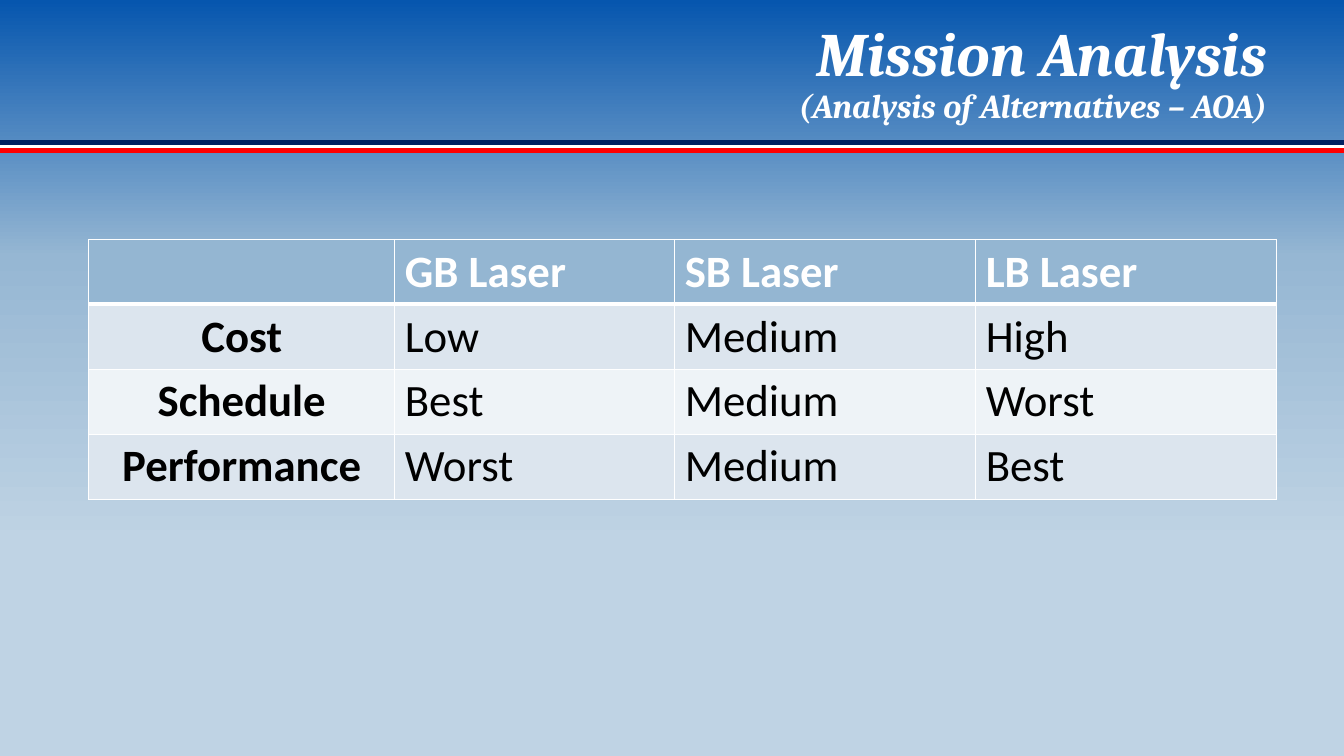
from dataclasses import dataclass

from lxml.etree import SubElement
from pptx import Presentation
from pptx.dml.color import RGBColor as Rgb
from pptx.enum.shapes import MSO_CONNECTOR as Link
from pptx.enum.text import MSO_ANCHOR as Anchor, PP_ALIGN as Align
from pptx.oxml.ns import qn
from pptx.util import Pt


@dataclass(frozen=True)
class Theme:
    white: str = "FFFFFF"
    black: str = "000000"
    navy: str = "002060"
    red: str = "FF0000"
    head: str = "94B6D2"
    bands: tuple = ("DCE5EE", "EEF3F7")
    sky: tuple = ((0, "0656AE"), (34, "96B7D3"), (72, "BFD3E4"))
    serif: str = "Cambria"
    sans: str = "Calibri"
    title: float = 44
    sub: float = 24
    body: float = 32


@dataclass(frozen=True)
class Stripe:
    top: float
    color: str
    width: float


@dataclass(frozen=True)
class Line:
    text: str
    size: float


THEME = Theme()
WIDE, HIGH = 960, 540
STRIPES = (
    Stripe(102.1, THEME.navy, 3.5),
    Stripe(104.9, THEME.white, 2.5),
    Stripe(107.5, THEME.red, 3.5),
)
TITLE = (
    Line("Mission Analysis", THEME.title),
    Line("(Analysis of Alternatives – AOA)", THEME.sub),
)
COLS = (218.6, 200, 215, 215)
ROW = 46.4
ROWS = (
    ("", "GB Laser", "SB Laser", "LB Laser"),
    ("Cost", "Low", "Medium", "High"),
    ("Schedule", "Best", "Medium", "Worst"),
    ("Performance", "Worst", "Medium", "Best"),
)


def style(font, color: str, **values) -> None:
    for name, value in values.items():
        setattr(font, name, value)
    font.color.rgb = Rgb.from_string(color)


def add_stops(parent, stops: tuple) -> None:
    for place, color in stops:
        stop = SubElement(parent, qn("a:gs"), pos=str(place * 1000))
        SubElement(stop, qn("a:srgbClr"), val=color)


def paint_sky(slide) -> None:
    """Fill the background with the gradient, from top to bottom."""
    fill = slide.background.fill
    fill.gradient()
    fill.gradient_angle = 270
    stops = slide.background._cSld.find(".//" + qn("a:gsLst"))
    for stop in list(stops):
        stops.remove(stop)
    add_stops(stops, THEME.sky)


def draw_stripe(slide, stripe: Stripe) -> None:
    line = slide.shapes.add_connector(
        Link.STRAIGHT, 0, Pt(stripe.top), Pt(WIDE), Pt(stripe.top))
    line.line.color.rgb = Rgb.from_string(stripe.color)
    line.line.width = Pt(stripe.width)
    SubElement(line._element.spPr, qn("a:effectLst"))


def draw_title(slide) -> None:
    box = slide.shapes.add_textbox(Pt(120), Pt(13), Pt(792), Pt(90))
    frame = box.text_frame
    frame.word_wrap = True
    frame.vertical_anchor = Anchor.TOP
    for index, line in enumerate(TITLE):
        para = frame.add_paragraph() if index else frame.paragraphs[0]
        para.alignment = Align.RIGHT
        para.line_spacing = 0.9
        run = para.add_run()
        run.text = line.text
        style(run.font, THEME.white, name=THEME.serif, size=Pt(line.size),
              bold=True, italic=True)


def edge_cell(cell, base: float) -> None:
    """Give the cell white borders, with the lower one of width base."""
    props = cell._tc.get_or_add_tcPr()
    widths = {"a:lnL": 1, "a:lnR": 1, "a:lnT": 1, "a:lnB": base}
    for index, (side, width) in enumerate(widths.items()):
        edge = SubElement(props, qn(side), w=str(Pt(width)))
        fill = SubElement(edge, qn("a:solidFill"))
        SubElement(fill, qn("a:srgbClr"), val=THEME.white)
        props.insert(index, edge)


def fill_cell(cell, text: str, row: int, col: int) -> None:
    head = row == 0
    color = THEME.head if head else THEME.bands[(row - 1) % 2]
    cell.fill.solid()
    cell.fill.fore_color.rgb = Rgb.from_string(color)
    edge_cell(cell, 3 if head else 1)
    para = cell.text_frame.paragraphs[0]
    para.alignment = Align.LEFT if col else Align.CENTER
    look = dict(name=THEME.sans, size=Pt(THEME.body), bold=head or col == 0)
    ink = THEME.white if head else THEME.black
    if text:
        run = para.add_run()
        run.text = text
        style(run.font, ink, **look)
    else:
        style(para.font, ink, **look)


def draw_table(slide) -> None:
    table = slide.shapes.add_table(
        len(ROWS), len(COLS), Pt(63.4), Pt(171), Pt(sum(COLS)),
        Pt(ROW * len(ROWS))).table
    for col, width in zip(table.columns, COLS):
        col.width = Pt(width)
    for row, texts in enumerate(ROWS):
        table.rows[row].height = Pt(ROW)
        for col, text in enumerate(texts):
            fill_cell(table.cell(row, col), text, row, col)


def main() -> None:
    deck = Presentation()
    deck.slide_width, deck.slide_height = Pt(WIDE), Pt(HIGH)
    slide = deck.slides.add_slide(deck.slide_layouts[6])
    paint_sky(slide)
    for stripe in STRIPES:
        draw_stripe(slide, stripe)
    draw_title(slide)
    draw_table(slide)
    deck.save("out.pptx")


if __name__ == "__main__":
    main()
